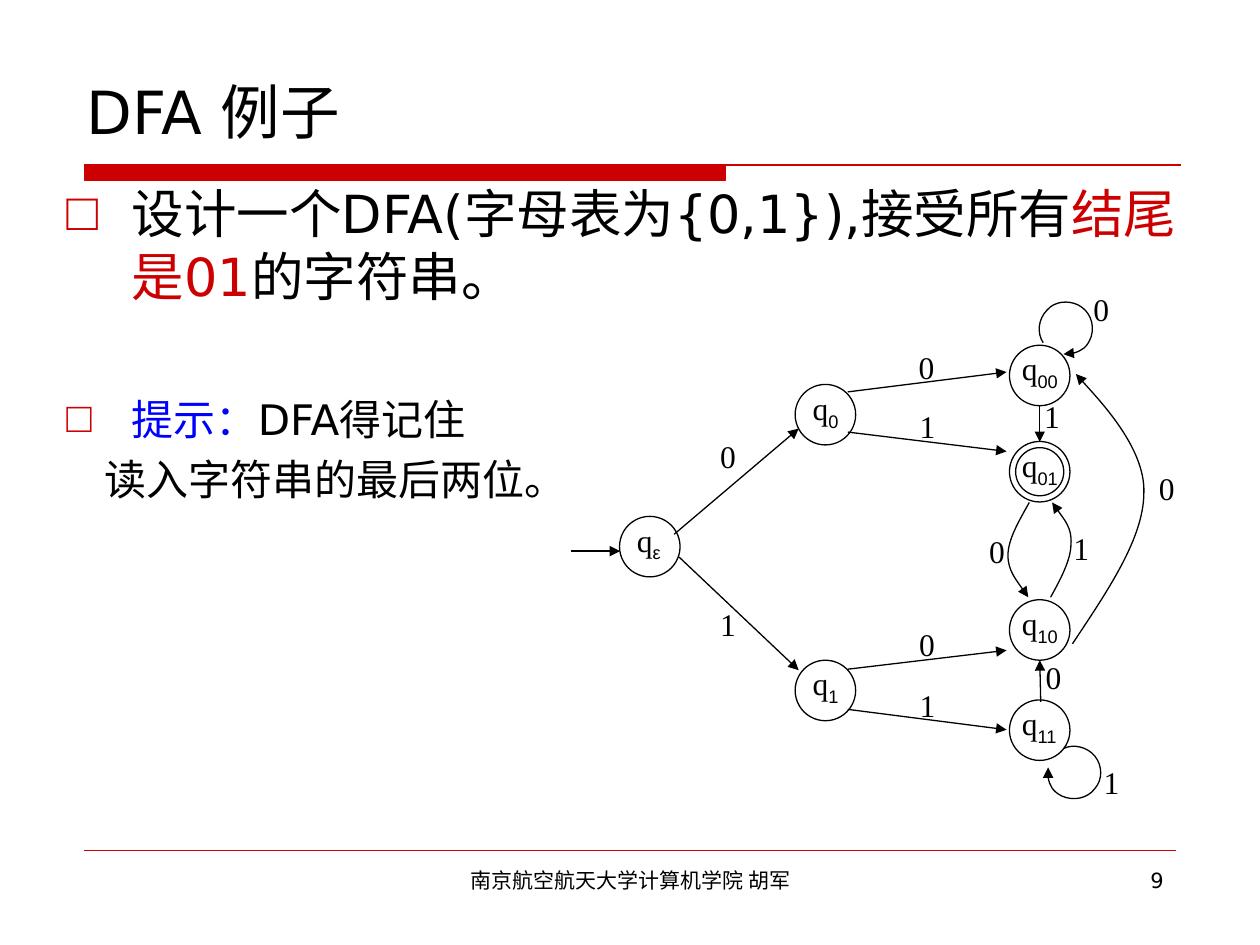
from lxml.etree import SubElement
from pptx import Presentation
from pptx.dml.color import RGBColor
from pptx.enum.shapes import MSO_CONNECTOR, MSO_SHAPE
from pptx.enum.text import MSO_ANCHOR, MSO_AUTO_SIZE, PP_ALIGN
from pptx.oxml.ns import qn
from pptx.util import Cm, Pt

RED, BLACK, BLUE, WHITE = "CC0000", "000000", "0000FF", "FFFFFF"
SANS, SERIF = "DejaVu Sans", "Times New Roman"


def paint(fill, hue):
    fill.solid()
    fill.fore_color.rgb = RGBColor.from_string(hue)


def write(area, paras, size, face=SANS, **look):
    """Add a text box; each paragraph is a list of (text, colour) runs."""
    frame = slide.shapes.add_textbox(*map(Cm, area)).text_frame
    for key, value in ({"word_wrap": True} | look).items():
        setattr(frame, key, value)
    for i, runs in enumerate(paras):
        para = frame.paragraphs[0] if i == 0 else frame.add_paragraph()
        for text, hue in runs:
            run = para.add_run()
            for key, value in {"size": Pt(size), "name": face}.items():
                setattr(run.font, key, value)
            run.text = text
            paint(run.font.fill, hue)
    return frame.paragraphs


deck = Presentation()
deck.slide_width, deck.slide_height = Cm(25.4), Cm(19.05)
slide = deck.slides.add_slide(deck.slide_layouts[6])
shapes = slide.shapes

# Title bar with its thin extension, and the footer rule
left, top, mid, low, right = map(Cm, (1.7, 3.33, 14.63, 3.63, 23.8))
pen = shapes.build_freeform(left, top)
pen.add_line_segments([(mid, top), (mid, low), (left, low)], close=True)
pen.move_to(left, top)
pen.add_line_segments([(right, top)], close=False)
bar = pen.convert_to_shape()
bar.shadow.inherit = False
paint(bar.fill, RED)

rule = shapes.add_connector(MSO_CONNECTOR.STRAIGHT, Cm(1.7), Cm(17.15), Cm(23.7), Cm(17.15))
SubElement(rule._element.spPr, qn("a:effectLst"))
for mark, width in [(bar, 0.75), (rule, 0.25)]:
    paint(mark.line.fill, RED)
    mark.line.width = Pt(width)

# Heading, body and footer
write((1.5, 1.32, 23.22, 1.83), [[("DFA 例子", BLACK)]], 34,
      vertical_anchor=MSO_ANCHOR.MIDDLE)

body = write((1.09, 3.53, 23.22, 14.2), [
    [("设计一个DFA(字母表为{0,1}),接受所有", BLACK), ("结尾是01", RED), ("的字符串。", BLACK)],
    [("提示：", BLUE), ("DFA得记住", BLACK)],
    [("读入字符串的最后两位。", BLACK)],
], 24)
for run in body[0].runs:
    run.font.size = Pt(30)
for para in body[:2]:
    props = para._p.get_or_add_pPr()
    props.set("marL", str(Cm(1.32)))
    props.set("indent", str(Cm(-1.32)))
    tint = SubElement(props, qn("a:buClr"))
    SubElement(tint, qn("a:srgbClr"), val=RED)
    SubElement(props, qn("a:buFont"), typeface="Arial")
    SubElement(props, qn("a:buChar"), char="□")
body[2]._p.get_or_add_pPr().set("marL", str(Cm(0.76)))
body[1].space_before, body[2].space_before = Pt(49), Pt(6)

foot = write((8.69, 17.36, 8.05, 1.32), [[("南京航空航天大学计算机学院 胡军", BLACK)]], 12)
foot[0].alignment = PP_ALIGN.CENTER
page = write((18.2, 17.36, 5.51, 1.32), [[("9", BLACK)]], 12)
page[0].alignment = PP_ALIGN.RIGHT

# States
SIZE, RING = 1.22, 0.97
tight = {"word_wrap": False, "auto_size": MSO_AUTO_SIZE.SHAPE_TO_FIT_TEXT}
states = {
    "ε": (12.49, 10.41), "0": (16.03, 7.75), "1": (16.03, 13.31),
    "00": (20.35, 6.96), "01": (20.35, 8.9),
    "10": (20.35, 12.09), "11": (20.35, 14.11),
}
for name, (x, y) in states.items():
    for size in (SIZE, RING) if name == "01" else (SIZE,):
        gap = (SIZE - size) / 2
        disc = shapes.add_shape(MSO_SHAPE.OVAL, Cm(x + gap), Cm(y + gap), Cm(size), Cm(size))
        disc.shadow.inherit = False
        paint(disc.fill, WHITE)
        paint(disc.line.fill, BLACK)
        disc.line.width = Pt(0.75)
    count = len(name)
    label = write((x + 0.2 - 0.1 * count, y - 0.04, 0.83 + 0.22 * count, 1.12),
                  [[("q", BLACK), (name, BLACK)]], 18, SERIF, **tight)
    sub = label[0].runs[1]
    sub.font.name = "Arial"
    sub.font._element.set("baseline", "-25000")

# Straight moves
moves = []
for x1, y1, x2, y2 in [
    (11.51, 11.11, 12.5, 11.11),
    (13.59, 10.77, 16.1, 8.64), (13.69, 11.23, 16.1, 13.51),
    (17.09, 7.9, 20.29, 7.5), (17.09, 8.71, 20.29, 9.1),
    (17.09, 13.49, 20.29, 13.11), (17.09, 14.3, 20.29, 14.71),
    (20.96, 8.18, 20.96, 8.91), (20.98, 14.15, 20.96, 13.31),
]:
    move = shapes.add_connector(MSO_CONNECTOR.STRAIGHT, Cm(x1), Cm(y1), Cm(x2), Cm(y2))
    SubElement(move._element.spPr, qn("a:effectLst"))
    moves.append(move)

# Curved moves: a start point, then three Bezier points per piece
curves = [
    [(21.03, 6.91), (20.9, 6.71), (20.93, 6.43), (21.11, 6.25),
     (21.26, 6.07), (21.54, 6.05), (21.74, 6.15),
     (21.97, 6.27), (22.07, 6.53), (22, 6.78),
     (21.92, 7.01), (21.69, 7.16), (21.44, 7.14)],
    [(21.44, 15.09), (21.64, 14.99), (21.92, 15.06), (22.07, 15.24),
     (22.23, 15.44), (22.23, 15.72), (22.07, 15.9),
     (21.92, 16.1), (21.64, 16.15), (21.41, 16.05),
     (21.21, 15.95), (21.08, 15.7), (21.13, 15.47)],
    [(21.18, 12.04), (21.39, 11.66), (21.59, 11.28), (21.59, 10.97),
     (21.62, 10.64), (21.21, 10.13), (21.21, 10.13)],
    [(20.75, 10.13), (20.55, 10.49), (20.32, 10.87), (20.32, 11.2),
     (20.32, 11.51), (20.73, 12.04), (20.73, 12.04)],
    [(21.62, 12.98), (22.33, 11.91), (23.06, 10.85), (23.06, 9.93),
     (23.09, 9.02), (21.69, 7.54), (21.69, 7.54)],
]
for knots in curves:
    start, *rest = [(Cm(x), Cm(y)) for x, y in knots]
    pen = shapes.build_freeform(*start)
    pen.add_line_segments(rest, close=False)
    move = pen.convert_to_shape()
    steps = list(move._element.spPr.iter(qn("a:lnTo")))
    route = steps[0].getparent()
    for i in range(0, len(steps), 3):
        bend = SubElement(route, qn("a:cubicBezTo"))
        for step in steps[i:i + 3]:
            bend.append(step[0])
            route.remove(step)
    move.shadow.inherit = False
    move.fill.background()
    moves.append(move)

for move in moves:
    paint(move.line.fill, BLACK)
    move.line.width = Pt(0.75)
    SubElement(move.line._get_or_add_ln(), qn("a:tailEnd"), type="triangle")

# Input symbols
signs = {
    "0": [(14.27, 8.69), (18.27, 6.89), (18.28, 12.48), (19.69, 10.6),
          (21.79, 5.72), (20.83, 13.14), (23.11, 9.33)],
    "1": [(14.27, 12.07), (18.29, 8.09), (18.29, 13.7), (22, 15.25),
          (20.8, 7.87), (21.39, 10.53)],
}
for sign, spots in signs.items():
    for x, y in spots:
        write((x, y, 0.86, 1.02), [[(sign, BLACK)]], 18, SERIF, **tight)

deck.save("out.pptx")
